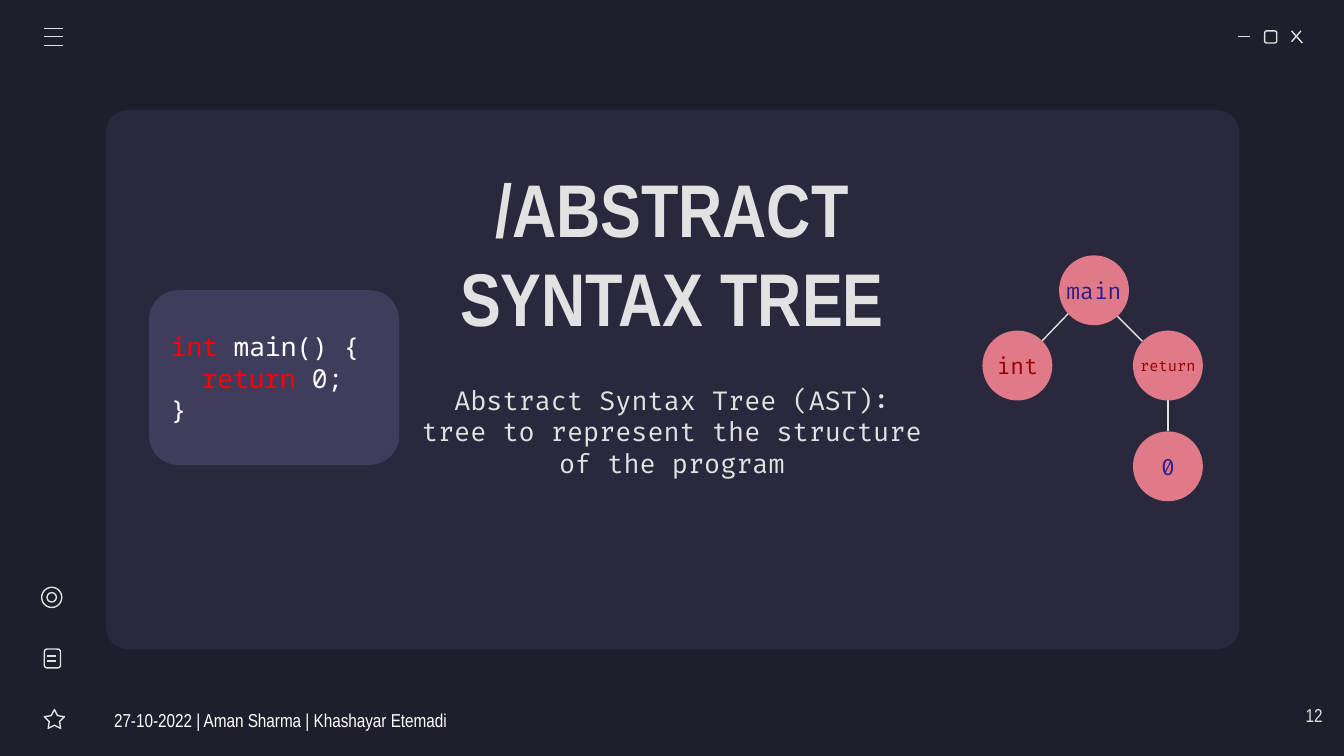
from lxml.etree import SubElement
from pptx import Presentation
from pptx.dml.color import RGBColor
from pptx.enum.shapes import MSO_CONNECTOR, MSO_SHAPE
from pptx.enum.text import MSO_ANCHOR, MSO_AUTO_SIZE, PP_ALIGN
from pptx.oxml.ns import qn
from pptx.util import Inches, Pt

THEME = {
    "back": "1E1E2C", "panel": "29283D", "box": "403D5C", "node": "E07A88",
    "pale": "E2E2E2", "white": "FFFFFF", "key": "FF0000",
    "blue": "2B218D", "red": "990000",
    "head": "Arial Narrow", "body": "Fira Code", "mono": "Noto Sans Mono",
    "big": 40, "text": 14, "label": 12, "foot": 10, "tiny": 8, "line": 0.75,
}

TITLE = "/ABSTRACT SYNTAX TREE"
INTRO = "Abstract Syntax Tree (AST): tree to represent the structure of the program"
FOOT = "27-10-2022 | Aman Sharma | Khashayar Etemadi"
PAGE = "12"

# Indent level, then runs of (text, colour)
CODE = [
    (0, [("int", "key"), (" main() {", "white")]),
    (1, [("return", "key"), (" 0;", "white")]),
    (0, [("}", "white")]),
]
TAB = 0.23

# Label, left, top, size, colour
NODES = [
    ("main", 7.88, 1.9, "label", "blue"),
    ("int", 7.31, 2.46, "label", "red"),
    ("return", 8.43, 2.46, "tiny", "red"),
    ("0", 8.43, 3.21, "label", "blue"),
]
NODE = 0.52
LABEL = (0.65, 0.4)
EDGES = [(8.5, 2.54, 8.28, 2.32), (8, 2.28, 7.75, 2.54), (8.69, 2.98, 8.69, 3.21)]

MENU = [(0.33, y, 0.47, y) for y in (0.21, 0.27, 0.34)]
WINDOW = [(9.21, 0.27, 9.3, 0.27), (9.61, 0.23, 9.69, 0.32), (9.68, 0.23, 9.61, 0.31)]
NOTE = [(0.35, y, 0.42, y) for y in (4.88, 4.92)]
ICONS = [
    (MSO_SHAPE.ROUNDED_RECTANGLE, (9.41, 0.23, 0.09, 0.09), [0.167]),
    (MSO_SHAPE.STAR_5_POINT, (0.33, 5.28, 0.15, 0.14), [0.254, 1.051, 1.106]),
    (MSO_SHAPE.ROUNDED_RECTANGLE, (0.33, 4.83, 0.12, 0.14), [0.167]),
    (MSO_SHAPE.OVAL, (0.31, 4.37, 0.15, 0.15), []),
    (MSO_SHAPE.OVAL, (0.35, 4.41, 0.07, 0.07), []),
]


def color(name):
    return RGBColor.from_string(THEME[name])


def put(slide, kind, at, fill=None, adj=()):
    """Add a shape: filled without a line, or outlined when fill is None."""
    shape = slide.shapes.add_shape(kind, *map(Inches, at))
    shape.shadow.inherit = False
    for i, val in enumerate(adj):
        shape.adjustments[i] = val
    if fill:
        shape.fill.solid()
        shape.fill.fore_color.rgb = color(fill)
        shape.line.fill.background()
    else:
        shape.fill.background()
        shape.line.color.rgb = color("pale")
        shape.line.width = Pt(THEME["line"])
    return shape


def draw(slide, ends):
    line = slide.shapes.add_connector(MSO_CONNECTOR.STRAIGHT, *map(Inches, ends))
    line.line.color.rgb = color("pale")
    line.line.width = Pt(THEME["line"])
    SubElement(line.element.spPr, qn("a:effectLst"))


def write(shape, paras, font, size, align=PP_ALIGN.LEFT, anchor=MSO_ANCHOR.MIDDLE, right=0.1):
    frame = shape.text_frame
    frame.word_wrap = True
    frame.auto_size = MSO_AUTO_SIZE.NONE
    frame.vertical_anchor = anchor
    frame.margin_left = frame.margin_top = frame.margin_bottom = Inches(0.1)
    frame.margin_right = Inches(right)
    for i, (level, runs) in enumerate(paras):
        para = frame.add_paragraph() if i else frame.paragraphs[0]
        para.alignment = align
        if level:
            props = para._p.get_or_add_pPr()
            props.set("marL", str(Inches(level * TAB)))
            props.set("indent", "0")
        for text, tint in runs:
            run = para.add_run()
            run.text = text
            run.font.name = THEME[font]
            run.font.size = Pt(THEME[size])
            run.font.color.rgb = color(tint)


def label(slide, at, text, font, size, tint, **style):
    box = slide.shapes.add_textbox(*map(Inches, at))
    write(box, [(0, [(text, tint)])], font, size, **style)


def head(slide):
    title = slide.shapes.title
    title.left, title.top, title.width, title.height = map(Inches, (3.02, 1.44, 3.96, 0.87))
    write(title, [(0, [(TITLE, "pale")])], "head", "big", PP_ALIGN.CENTER)
    title.text_frame.paragraphs[0].runs[0].font.bold = True


def tree(slide):
    for ends in EDGES:
        draw(slide, ends)
    wide, high = LABEL
    for text, x, y, size, tint in NODES:
        put(slide, MSO_SHAPE.OVAL, (x, y, NODE, NODE), "node")
        at = (x + (NODE - wide) / 2, y + (NODE - high) / 2, wide, high)
        label(slide, at, text, "body", size, tint, align=PP_ALIGN.CENTER)


def main():
    deck = Presentation()
    deck.slide_width = Inches(10)
    deck.slide_height = deck.slide_width * 9 // 16
    slide = deck.slides.add_slide(deck.slide_layouts[5])
    slide.background.fill.solid()
    slide.background.fill.fore_color.rgb = color("back")

    panel = put(slide, MSO_SHAPE.ROUNDED_RECTANGLE, (0.79, 0.82, 8.43, 4.01), "panel", [0.04])
    # The title placeholder comes first, so move the panel behind it
    slide.shapes.title.element.addprevious(panel.element)
    for ends in MENU + WINDOW + NOTE:
        draw(slide, ends)
    for kind, at, adj in ICONS:
        put(slide, kind, at, adj=adj)

    head(slide)
    label(slide, (3.02, 2.34, 3.96, 1.74), INTRO, "body", "text", "pale", align=PP_ALIGN.CENTER)
    box = put(slide, MSO_SHAPE.ROUNDED_RECTANGLE, (1.11, 2.16, 1.86, 1.3), "box", [0.167])
    write(box, CODE, "mono", "text")
    tree(slide)
    label(slide, (0.75, 5.21, 3.15, 0.3), FOOT, "head", "foot", "white", right=0)
    label(slide, (9.34, 5.14, 0.6, 0.43), PAGE, "head", "foot", "pale",
          align=PP_ALIGN.RIGHT, anchor=MSO_ANCHOR.TOP)
    deck.save("out.pptx")


if __name__ == "__main__":
    main()
